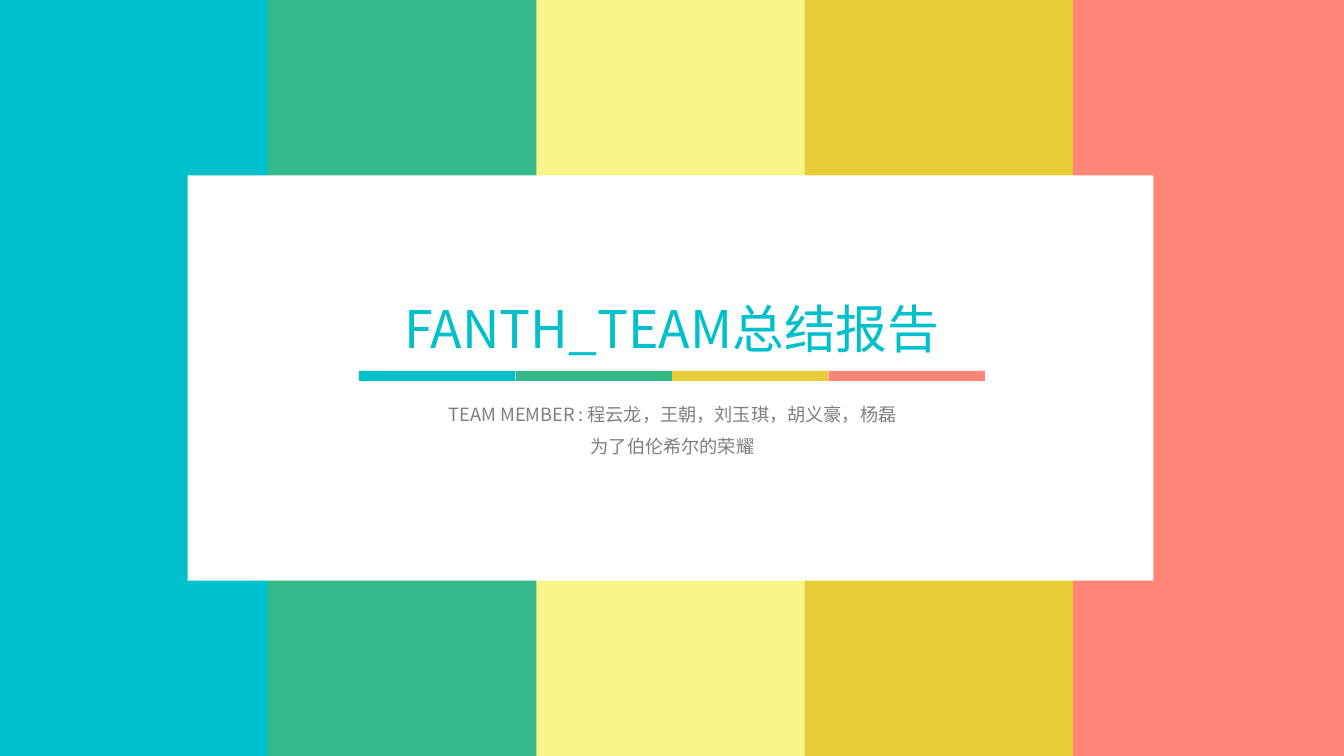
from lxml import etree
from pptx import Presentation
from pptx.dml.color import RGBColor
from pptx.enum.shapes import MSO_SHAPE
from pptx.enum.text import MSO_AUTO_SIZE, PP_ALIGN
from pptx.oxml.ns import qn
from pptx.util import Inches, Pt

RECTANGLE = MSO_SHAPE.RECTANGLE
CENTER = PP_ALIGN.CENTER
FIT_SHAPE = MSO_AUTO_SIZE.SHAPE_TO_FIT_TEXT
COLORS = {
    "cyan": "00C0CB",
    "green": "34BA89",
    "yellow": "F8F689",
    "gold": "E7CE39",
    "coral": "FF8577",
    "white": "FFFFFF",
    "gray": "7F7F7F",
}
STRIPES = ["cyan", "green", "yellow", "gold", "coral"]
DIVIDER = ["cyan", "green", "gold", "coral"]


class SlideBuilder:
    font_name = "Noto Sans CJK SC"
    inset = Inches(0.05)

    def __init__(self, slide):
        self.slide = slide

    def color(self, name):
        return RGBColor.from_string(COLORS[name])

    def background(self, color):
        fill = self.slide.background.fill
        fill.solid()
        fill.fore_color.rgb = self.color(color)

    def rectangle(self, left, top, width, height, color):
        shape = self.slide.shapes.add_shape(
            RECTANGLE, Inches(left), Inches(top), Inches(width), Inches(height))
        shape.shadow.inherit = False
        shape.fill.solid()
        shape.fill.fore_color.rgb = self.color(color)
        shape.line.fill.background()

    def row(self, left, top, step, width, height, colors):
        for index, color in enumerate(colors):
            self.rectangle(left + index * step, top, width, height, color)

    def text(self, left, top, width, height, lines, size, color, spacing=1.0):
        box = self.slide.shapes.add_textbox(
            Inches(left), Inches(top), Inches(width), Inches(height))
        frame = box.text_frame
        frame.word_wrap = True
        frame.auto_size = FIT_SHAPE
        frame.margin_left = frame.margin_right = self.inset
        frame.margin_top = frame.margin_bottom = self.inset
        frame.text = "\n".join(lines)
        for paragraph in frame.paragraphs:
            paragraph.alignment = CENTER
            paragraph.line_spacing = spacing
            font = paragraph.font
            font.size = Pt(size)
            font.color.rgb = self.color(color)
            font.name = self.font_name
            properties = paragraph._p.pPr.find(qn("a:defRPr"))
            etree.SubElement(properties, qn("a:ea"), typeface=self.font_name)


def main():
    presentation = Presentation()
    presentation.slide_width = Inches(13.33)
    presentation.slide_height = Inches(7.5)
    builder = SlideBuilder(
        presentation.slides.add_slide(presentation.slide_layouts[6]))

    builder.background("yellow")
    builder.row(0, 0, 2.66, 2.69, 7.5, STRIPES)
    builder.rectangle(1.86, 1.74, 9.58, 4.02, "white")
    builder.row(3.56, 3.68, 1.553, 1.55, 0.1, DIVIDER)
    builder.text(2.37, 2.89, 8.59, 0.72, ["FANTH_TEAM总结报告"], 37, "cyan")
    builder.text(
        2.96, 3.84, 7.42, 0.72,
        ["TEAM MEMBER : 程云龙，王朝，刘玉琪，胡义豪，杨磊", "为了伯伦希尔的荣耀"],
        13, "gray", 1.5)

    presentation.save("out.pptx")


if __name__ == "__main__":
    main()
